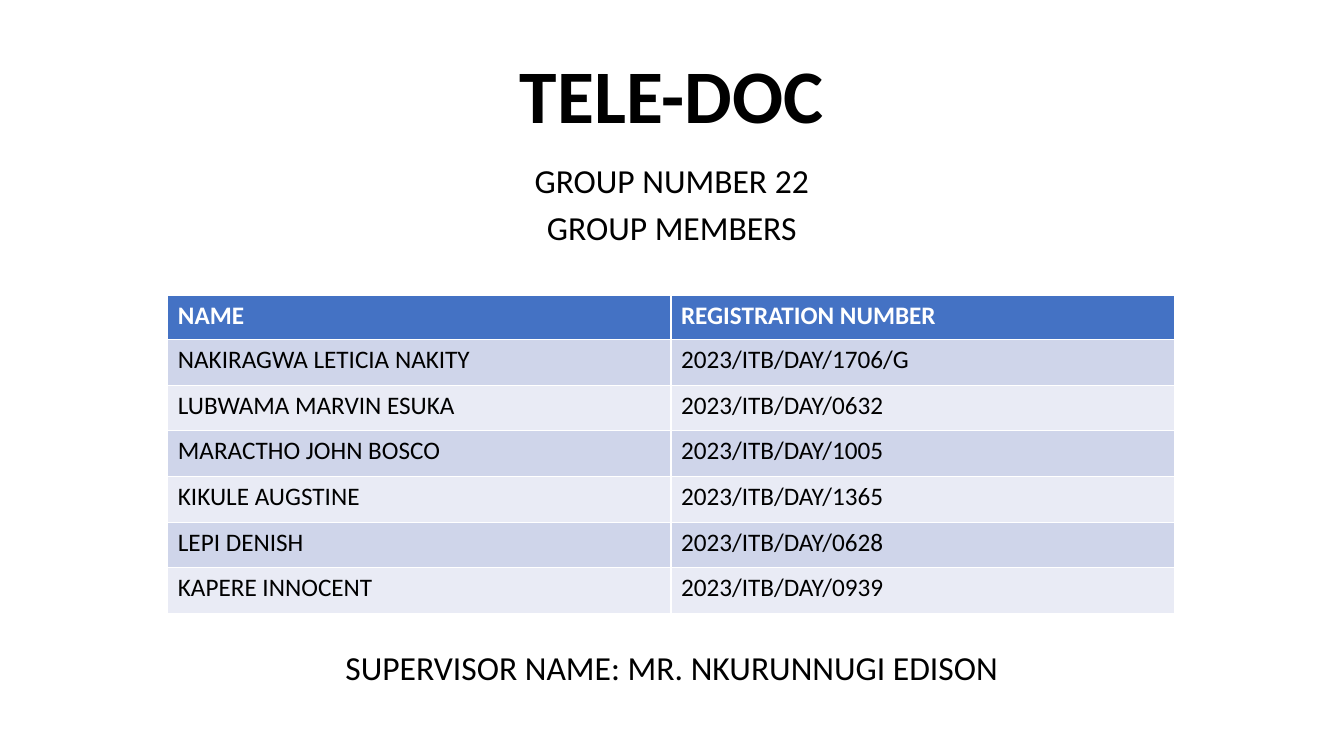
"""Build the TELE-DOC group title slide."""
import pptx
import pptx.dml.color
import pptx.enum.text
import pptx.util

Cm = pptx.util.Cm
Pt = pptx.util.Pt
RGBColor = pptx.dml.color.RGBColor

BLACK = RGBColor(0x00, 0x00, 0x00)
WHITE = RGBColor(0xFF, 0xFF, 0xFF)
HEADER_BLUE = RGBColor(0x44, 0x72, 0xC4)
BAND_DARK = RGBColor(0xCF, 0xD5, 0xEA)
BAND_LIGHT = RGBColor(0xE9, 0xEB, 0xF5)

FONT_NAME = "Calibri"
LEFT = Cm(4.23)
WIDTH = Cm(25.4)
COLUMN_WIDTH = Cm(12.68)
HEADER_HEIGHT = Cm(1.12)
ROW_HEIGHT = Cm(1.15)

MEMBERS = [
    ("NAME", "REGISTRATION NUMBER"),
    ("NAKIRAGWA LETICIA NAKITY", "2023/ITB/DAY/1706/G"),
    ("LUBWAMA MARVIN ESUKA", "2023/ITB/DAY/0632"),
    ("MARACTHO JOHN BOSCO", "2023/ITB/DAY/1005"),
    ("KIKULE AUGSTINE", "2023/ITB/DAY/1365"),
    ("LEPI DENISH", "2023/ITB/DAY/0628"),
    ("KAPERE INNOCENT", "2023/ITB/DAY/0939"),
]


def format_runs(paragraph, size, color=BLACK, bold=False):
    """Apply the slide font to every run of a paragraph."""
    for run in paragraph.runs:
        run.font.name = FONT_NAME
        run.font.size = Pt(size)
        run.font.bold = bold
        run.font.color.rgb = color


def write_centered(text_frame, text, size, line_spacing, space_before=0, bold=False):
    """Fill a text frame with centred paragraphs."""
    text_frame.text = text
    text_frame.word_wrap = True
    text_frame.auto_size = pptx.enum.text.MSO_AUTO_SIZE.NONE
    for paragraph in text_frame.paragraphs:
        paragraph.alignment = pptx.enum.text.PP_ALIGN.CENTER
        paragraph.line_spacing = line_spacing
        paragraph.space_before = Pt(space_before)
        format_runs(paragraph, size, bold=bold)


def place_title(slide, text):
    """Move and format the title placeholder."""
    title = slide.shapes.title
    title.left, title.top, title.width, title.height = LEFT, Cm(1.35), WIDTH, Cm(2.29)
    write_centered(title.text_frame, text, 54, 0.9, bold=True)
    title.text_frame.vertical_anchor = pptx.enum.text.MSO_ANCHOR.BOTTOM


def add_centered_text(slide, text, top, height, line_spacing):
    """Add a centred text box across the content width."""
    shape = slide.shapes.add_textbox(LEFT, top, WIDTH, height)
    write_centered(shape.text_frame, text, 24, line_spacing, space_before=10)


def fill_cell(cell, text, fill, color, bold):
    """Write and colour one table cell."""
    cell.text = text
    cell.fill.solid()
    cell.fill.fore_color.rgb = fill
    format_runs(cell.text_frame.paragraphs[0], 18, color, bold)


def add_member_table(slide, members):
    """Add the banded table of group members."""
    height = HEADER_HEIGHT + ROW_HEIGHT * (len(members) - 1)
    table = slide.shapes.add_table(
        len(members), 2, LEFT, Cm(7.44), COLUMN_WIDTH * 2, height
    ).table
    for column in table.columns:
        column.width = COLUMN_WIDTH
    for row_index, texts in enumerate(members):
        is_header = row_index == 0
        band = BAND_DARK if row_index % 2 else BAND_LIGHT
        table.rows[row_index].height = HEADER_HEIGHT if is_header else ROW_HEIGHT
        for column_index, text in enumerate(texts):
            fill_cell(
                table.cell(row_index, column_index),
                text,
                HEADER_BLUE if is_header else band,
                WHITE if is_header else BLACK,
                is_header,
            )


def main():
    """Create and save the presentation."""
    presentation = pptx.Presentation()
    presentation.slide_width = Cm(33.87)
    presentation.slide_height = Cm(19.05)
    slide = presentation.slides.add_slide(presentation.slide_layouts[5])
    place_title(slide, "TELE-DOC")
    add_centered_text(slide, "GROUP NUMBER 22\nGROUP MEMBERS", Cm(4.11), Cm(2.29), 0.8)
    add_member_table(slide, MEMBERS)
    add_centered_text(
        slide, "SUPERVISOR NAME: MR. NKURUNNUGI EDISON", Cm(16.28), Cm(1.45), 0.9
    )
    presentation.save("out.pptx")


if __name__ == "__main__":
    main()
